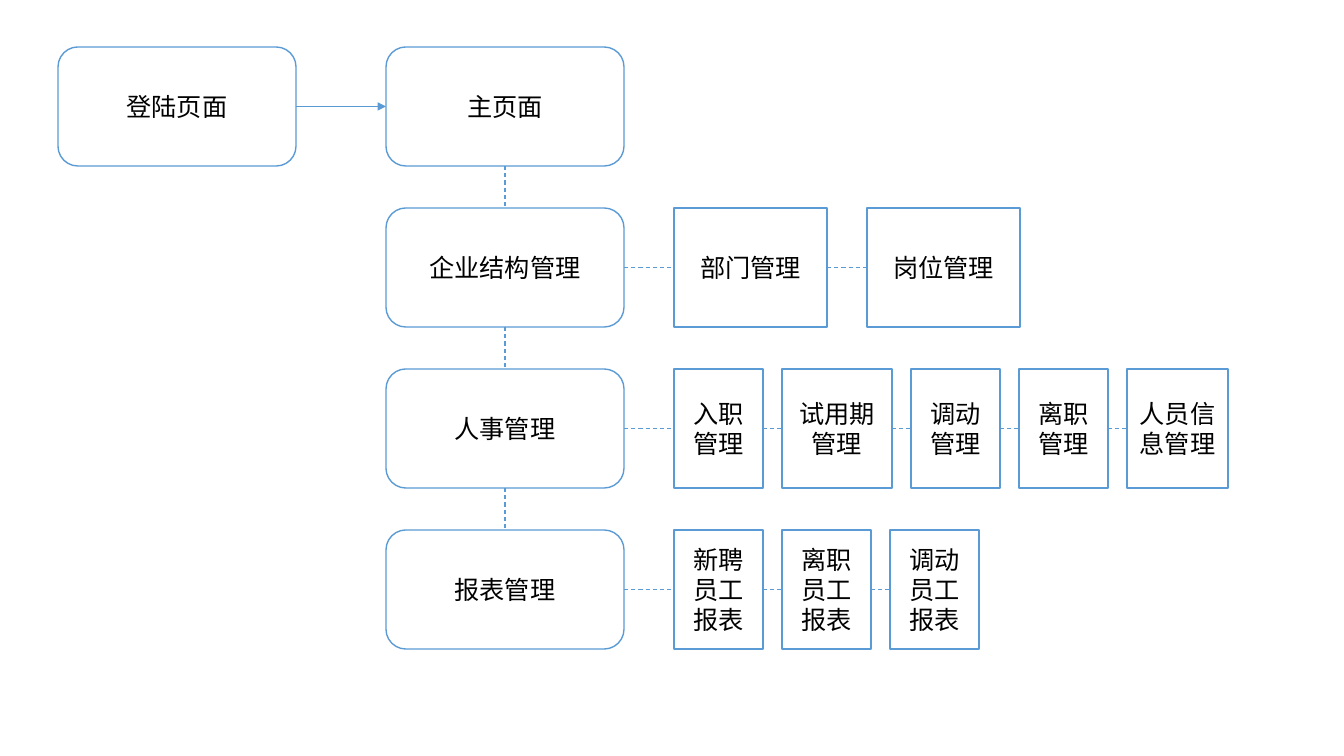
from dataclasses import dataclass

from lxml import etree
from pptx import Presentation
from pptx.dml.color import RGBColor
from pptx.enum.dml import MSO_LINE
from pptx.enum.shapes import MSO_CONNECTOR, MSO_SHAPE
from pptx.enum.text import MSO_ANCHOR, PP_ALIGN
from pptx.oxml.ns import qn
from pptx.util import Emu, Pt

ROUND = MSO_SHAPE.ROUNDED_RECTANGLE
RECT = MSO_SHAPE.RECTANGLE
STRAIGHT = MSO_CONNECTOR.STRAIGHT
DASH = MSO_LINE.DASH
CENTER = PP_ALIGN.CENTER
MIDDLE = MSO_ANCHOR.MIDDLE
TOP, LEFT, BOTTOM, RIGHT = range(4)

SCALE = 914400 / 100.8
LOGIN_X, MAIN_X, ITEM_X = 58, 386, 674
PAGE_W, BOX_H = 238, 119
FIRST_Y, PITCH = 47, 161

# Each module: name, gap between its items, and (text, width) of each item.
MODULES = [
    ("企业结构管理", 40, [("部门管理", 153), ("岗位管理", 153)]),
    ("人事管理", 19, [("入职管理", 89), ("试用期\n管理", 110), ("调动管理", 89),
                  ("离职管理", 89), ("人员信息管理", 101)]),
    ("报表管理", 19, [("新聘员工报表", 89), ("离职员工报表", 89), ("调动员工报表", 89)]),
]


@dataclass(frozen=True)
class Theme:
    font: str = "Noto Sans CJK SC"
    size: float = 18
    ink: RGBColor = RGBColor(0, 0, 0)
    fill: RGBColor = RGBColor(255, 255, 255)
    edge: RGBColor = RGBColor(0x5B, 0x9B, 0xD5)
    border: float = 1
    arrow: float = 0.5
    link: float = 0.75


THEME = Theme()


def px(num):
    return Emu(round(num * SCALE))


def put_text(shape, text, font=THEME.font, size=THEME.size, color=THEME.ink,
             align=CENTER, anchor=MIDDLE):
    frame = shape.text_frame
    frame.word_wrap = True
    frame.vertical_anchor = anchor
    frame.text = text
    for para in frame.paragraphs:
        para.alignment = align
        for run in para.runs:
            run.font.name = font
            run.font.size = Pt(size)
            run.font.color.rgb = color
            east = etree.SubElement(run.font._element, qn("a:ea"))
            east.set("typeface", font)


def add_box(slide, kind, text, x, y, width):
    box = slide.shapes.add_shape(kind, px(x), px(y), px(width), px(BOX_H))
    box.shadow.inherit = False
    box.fill.solid()
    box.fill.fore_color.rgb = THEME.fill
    box.line.color.rgb = THEME.edge
    box.line.width = Pt(THEME.border)
    put_text(box, text)
    return box


def join(slide, start, end, sides=(RIGHT, LEFT), arrow=False):
    """Join two boxes with a dashed line, or with a solid arrow."""
    line = slide.shapes.add_connector(STRAIGHT, 0, 0, 0, 0)
    line.begin_connect(start, sides[0])
    line.end_connect(end, sides[1])
    line.line.color.rgb = THEME.edge
    if arrow:
        line.line.width = Pt(THEME.arrow)
        tail = etree.SubElement(line.line._get_or_add_ln(), qn("a:tailEnd"))
        tail.set("type", "triangle")
    else:
        line.line.width = Pt(THEME.link)
        line.line.dash_style = DASH
    etree.SubElement(line._element.spPr, qn("a:effectLst"))


def add_items(slide, last, items, y, gap):
    """Chain the items to the right of the module box."""
    x = ITEM_X
    for text, width in items:
        item = add_box(slide, RECT, text, x, y, width)
        join(slide, last, item)
        last = item
        x += width + gap


def main():
    prs = Presentation()
    prs.slide_width, prs.slide_height = px(1344), px(756)
    slide = prs.slides.add_slide(prs.slide_layouts[6])

    login = add_box(slide, ROUND, "登陆页面", LOGIN_X, FIRST_Y, PAGE_W)
    above = add_box(slide, ROUND, "主页面", MAIN_X, FIRST_Y, PAGE_W)
    join(slide, login, above, arrow=True)

    for row, (name, gap, items) in enumerate(MODULES, 1):
        y = FIRST_Y + row * PITCH
        module = add_box(slide, ROUND, name, MAIN_X, y, PAGE_W)
        join(slide, above, module, sides=(BOTTOM, TOP))
        add_items(slide, module, items, y, gap)
        above = module

    prs.save("out.pptx")


if __name__ == "__main__":
    main()
